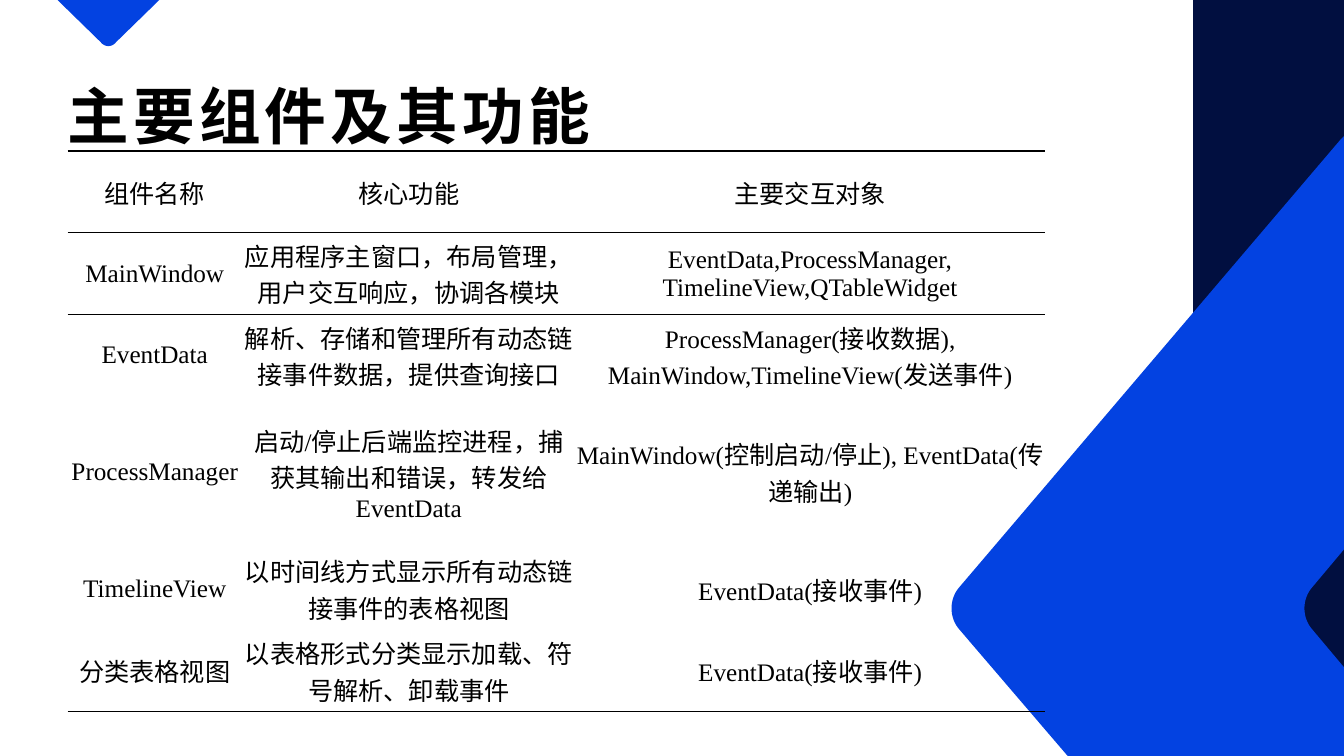
from itertools import groupby

from lxml import etree
from pptx import Presentation
from pptx.dml.color import RGBColor
from pptx.enum.text import MSO_ANCHOR, MSO_AUTO_SIZE, PP_ALIGN
from pptx.oxml import parse_xml
from pptx.oxml.ns import nsdecls, qn
from pptx.util import Inches, Pt

# Content
TITLE = "主要组件及其功能"
COMPONENTS = [
    ("组件名称", "核心功能", "主要交互对象"),
    ("MainWindow", "应用程序主窗口，布局管理，用户交互响应，协调各模块",
     "EventData,ProcessManager, TimelineView,QTableWidget"),
    ("EventData", "解析、存储和管理所有动态链接事件数据，提供查询接口",
     "ProcessManager(接收数据), MainWindow,TimelineView(发送事件)"),
    ("ProcessManager", "启动/停止后端监控进程，捕获其输出和错误，转发给EventData",
     "MainWindow(控制启动/停止), EventData(传递输出)"),
    ("TimelineView", "以时间线方式显示所有动态链接事件的表格视图", "EventData(接收事件)"),
    ("分类表格视图", "以表格形式分类显示加载、符号解析、卸载事件", "EventData(接收事件)"),
]

# Format
WIDTH, HEIGHT = 13.33, 7.5
BLACK = RGBColor(0x00, 0x00, 0x00)
BLUE = RGBColor(0x03, 0x42, 0xE1)
NAVY = RGBColor(0x01, 0x0F, 0x40)
CHINESE_FONT, LATIN_FONT = "Noto Sans CJK SC", "Times New Roman"
LEFT, TABLE_TOP = 0.67, 1.5
COLUMNS = [1.73, 3.31, 4.65]
ROW, TALL_ROW = 0.81, 1.51
ROWS = [TALL_ROW if row[0] == "ProcessManager" else ROW for row in COMPONENTS]
THICK, THIN = 1.5, 1

# Outlines: a pair is a corner, a triple of pairs is a rounded corner (Bézier)
DECORATIONS = [
    (BLUE, [(0.57, 0), (1, 0.42), ((1.04, 0.47), (1.11, 0.47), (1.15, 0.42)), (1.58, 0)]),
    (NAVY, [(11.83, 0), (WIDTH, 0), (WIDTH, HEIGHT), (11.83, HEIGHT)]),
    (BLUE, [(WIDTH, 6.62), (WIDTH, HEIGHT), (10.59, HEIGHT), (9.52, 6.25),
            ((9.41, 6.13), (9.41, 5.94), (9.52, 5.82)), (13.3, 1.38), (WIDTH, 1.35),
            (WIDTH, 5.45), (13.02, 5.82), ((12.91, 5.94), (12.91, 6.13), (13.02, 6.25))]),
]


def write_text(frame, text, size, bold=False, align=PP_ALIGN.LEFT, line_spacing=None, tracking=None):
    """Write one paragraph, with a run for each stretch of Chinese or Latin."""
    paragraph = frame.paragraphs[0]
    paragraph.alignment = align
    paragraph.line_spacing = line_spacing
    for latin, letters in groupby(text, str.isascii):
        run = paragraph.add_run()
        run.text = "".join(letters)
        font = run.font
        font.size, font.bold = Pt(size), bold
        font.color.rgb = BLACK
        font.name = LATIN_FONT if latin else CHINESE_FONT
        properties = run._r.get_or_add_rPr()
        etree.SubElement(properties, qn("a:ea")).set("typeface", font.name)
        if tracking:
            properties.set("spc", str(tracking * 100))


def flatten(outline, steps=16):
    """Turn the rounded corners of an outline into short segments."""
    points = []
    for item in outline:
        if len(item) == 2:
            points.append(item)
            continue
        curve = (points[-1], *item)
        for step in range(1, steps + 1):
            t = step / steps
            weights = ((1 - t) ** 3, 3 * t * (1 - t) ** 2, 3 * t * t * (1 - t), t ** 3)
            points.append(tuple(sum(w * point[axis] for w, point in zip(weights, curve))
                                for axis in (0, 1)))
    return [(Inches(x), Inches(y)) for x, y in points]


def add_decoration(slide, color, outline):
    start, *others = flatten(outline)
    builder = slide.shapes.build_freeform(*start)
    builder.add_line_segments(others, close=True)
    shape = builder.convert_to_shape()
    shape.shadow.inherit = False
    shape.fill.solid()
    shape.fill.fore_color.rgb = color
    shape.line.fill.background()


def set_border(cell, side, width):
    cell._tc.get_or_add_tcPr().append(parse_xml(
        f'<a:ln{side} {nsdecls("a")} w="{Pt(width)}"><a:solidFill>'
        f'<a:srgbClr val="{BLACK}"/></a:solidFill></a:ln{side}>'))


def add_component_table(slide):
    table = slide.shapes.add_table(
        len(ROWS), len(COLUMNS), Inches(LEFT), Inches(TABLE_TOP),
        Inches(sum(COLUMNS)), Inches(sum(ROWS))).table
    table.first_row = table.horz_banding = False
    # The plain style has neither fill nor grid
    table._tbl.tblPr.find(qn("a:tableStyleId")).text = "{2D5ABB26-0587-4C30-8999-92F81FD0307C}"
    for column, width in zip(table.columns, COLUMNS):
        column.width = Inches(width)
    for row, height in zip(table.rows, ROWS):
        row.height = Inches(height)

    top_borders = {0: THICK, 1: THIN}
    bottom_borders = {0: THIN, len(ROWS) - 1: THICK}
    for i, texts in enumerate(COMPONENTS):
        for j, text in enumerate(texts):
            cell = table.cell(i, j)
            for side, borders in (("T", top_borders), ("B", bottom_borders)):
                if i in borders:
                    set_border(cell, side, borders[i])
            cell.fill.background()
            cell.vertical_anchor = MSO_ANCHOR.MIDDLE
            cell.margin_left = cell.margin_right = Inches(0.02 if i == 0 or j == 0 else 0)
            cell.margin_top = cell.margin_bottom = Inches(0.01)
            write_text(cell.text_frame, text, 18, align=PP_ALIGN.CENTER)


def main():
    presentation = Presentation()
    presentation.slide_width, presentation.slide_height = Inches(WIDTH), Inches(HEIGHT)
    slide = presentation.slides.add_slide(presentation.slide_layouts[5])

    # Title
    title = slide.shapes.title
    title.left, title.top = Inches(LEFT), Inches(0.67)
    title.width, title.height = Inches(8.24), Inches(0.83)
    frame = title.text_frame
    frame.margin_left = frame.margin_right = frame.margin_top = frame.margin_bottom = 0
    frame.vertical_anchor = MSO_ANCHOR.MIDDLE
    frame.auto_size = MSO_AUTO_SIZE.NONE
    write_text(frame, TITLE, 44, bold=True, line_spacing=1.14, tracking=3)

    # Decorations, then the table over them
    for color, outline in DECORATIONS:
        add_decoration(slide, color, outline)
    add_component_table(slide)

    presentation.save("out.pptx")


if __name__ == "__main__":
    main()
